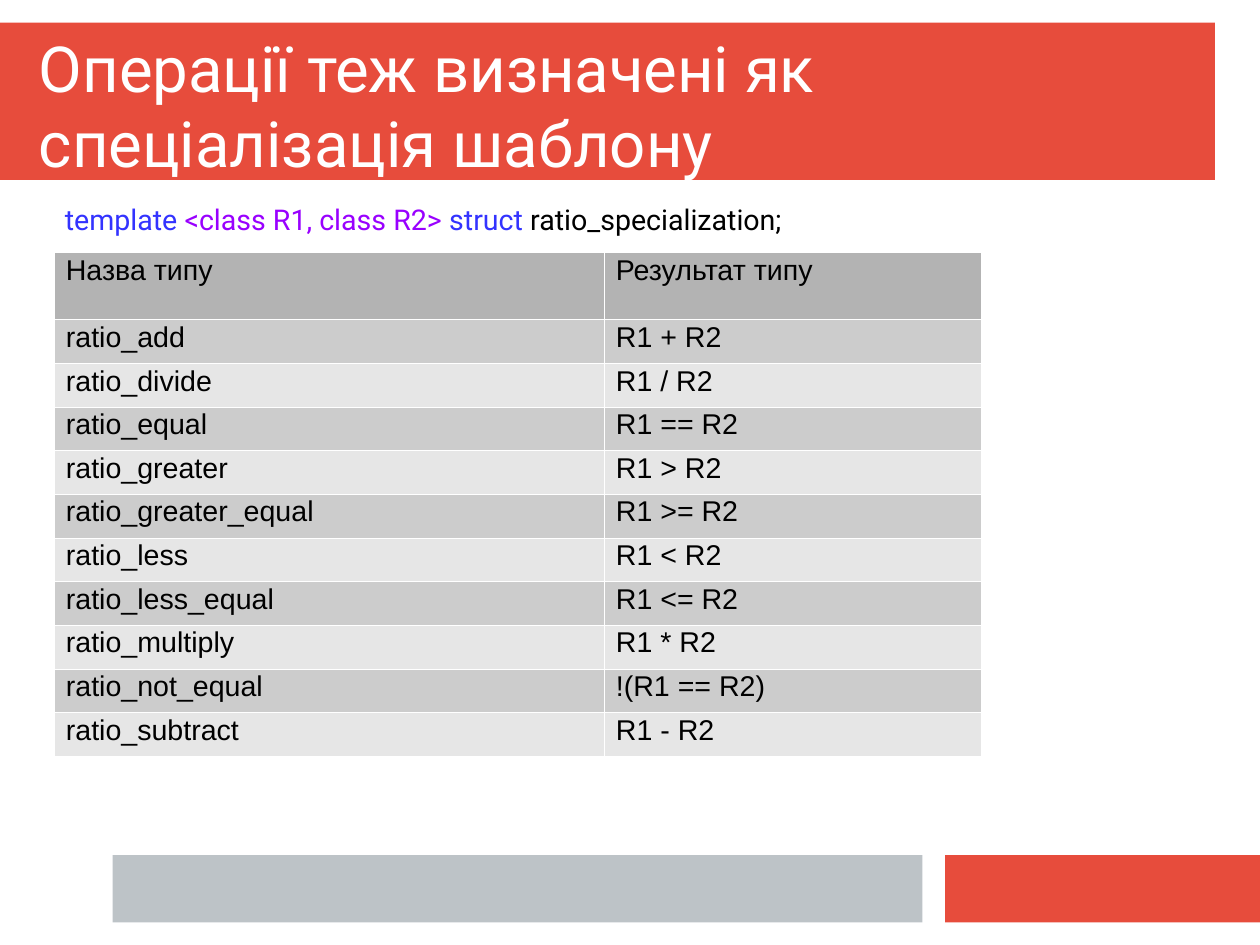
from lxml.etree import SubElement
from pptx import Presentation
from pptx.dml.color import RGBColor
from pptx.enum.shapes import MSO_SHAPE
from pptx.enum.text import MSO_ANCHOR, MSO_AUTO_SIZE, PP_ALIGN
from pptx.oxml.ns import qn
from pptx.util import Pt

RED, GREY, WHITE, BLACK = "E74C3C", "BDC3C7", "FFFFFF", "000000"
BLUE, PURPLE = "3333FF", "9900FF"
HEADER_FILL, ODD_FILL, EVEN_FILL = "B3B3B3", "CCCCCC", "E6E6E6"
COLUMN_WIDTHS = (346.5, 237.4)
HEADER_HEIGHT, ROW_HEIGHT = 42.3, 27.5

BARS = [
    (0, 14.2, 765.4, 99.2, RED),
    (595.3, 538.6, 198.4, 42.5, RED),
    (70.9, 538.6, 510.2, 42.5, GREY),
]
CODE = [
    ("template ", BLUE),
    ("<class R1, class R2> ", PURPLE),
    ("struct", BLUE),
    (" ratio_specialization;", BLACK),
]
ROWS = [
    ("Назва типу", "Результат типу"),
    ("ratio_add", "R1 + R2"),
    ("ratio_divide", "R1 / R2"),
    ("ratio_equal", "R1 == R2"),
    ("ratio_greater", "R1 > R2"),
    ("ratio_greater_equal", "R1 >= R2"),
    ("ratio_less", "R1 < R2"),
    ("ratio_less_equal", "R1 <= R2"),
    ("ratio_multiply", "R1 * R2"),
    ("ratio_not_equal", "!(R1 == R2)"),
    ("ratio_subtract", "R1 - R2"),
]


def rgb(value):
    """Turn a hex string into a colour."""
    return RGBColor.from_string(value)


def add_run(p, text, size, font, color):
    """Append one formatted run to a paragraph."""
    r = p.add_run()
    r.text = text
    r.font.size = Pt(size)
    r.font.name = font
    r.font.color.rgb = rgb(color)


def add_bar(slide, left, top, width, height, color):
    """Draw a plain coloured bar."""
    sp = slide.shapes.add_shape(
        MSO_SHAPE.RECTANGLE, Pt(left), Pt(top), Pt(width), Pt(height))
    sp.shadow.inherit = False
    sp.fill.solid()
    sp.fill.fore_color.rgb = rgb(color)
    sp.line.fill.background()


def set_title(slide, text):
    """Place the title in front of its banner."""
    sp = slide.shapes.title
    sp.left, sp.top, sp.width, sp.height = Pt(17.3), Pt(16.6), Pt(714.2), Pt(102.2)
    sp.element.getparent().append(sp.element)
    tf = sp.text_frame
    tf.word_wrap = True
    tf.auto_size = MSO_AUTO_SIZE.NONE
    tf.vertical_anchor = MSO_ANCHOR.MIDDLE
    p = tf.paragraphs[0]
    p.alignment = PP_ALIGN.LEFT
    p.line_spacing = 0.98
    add_run(p, text, 40, "Roboto", WHITE)


def add_code_line(slide, parts):
    """Add the declaration with one run per colour."""
    sp = slide.shapes.add_textbox(Pt(33.8), Pt(124.6), Pt(720), Pt(49.7))
    tf = sp.text_frame
    tf.word_wrap = True
    p = tf.paragraphs[0]
    p.line_spacing = 0.98
    p.space_after = Pt(10)
    for text, color in parts:
        add_run(p, text, 18, "Roboto", color)


def set_borders(cell, color, width):
    """Give a cell the same line on all four sides."""
    tc_pr = cell._tc.get_or_add_tcPr()
    for side in ("lnL", "lnR", "lnT", "lnB"):
        ln = SubElement(tc_pr, qn(f"a:{side}"), w=str(int(Pt(width))))
        fill = SubElement(ln, qn("a:solidFill"))
        SubElement(fill, qn("a:srgbClr"), val=color)


def fill_cell(cell, text, color):
    """Write and colour one table cell."""
    set_borders(cell, WHITE, 0.06)
    cell.fill.solid()
    cell.fill.fore_color.rgb = rgb(color)
    p = cell.text_frame.paragraphs[0]
    p.line_spacing = 0.87
    add_run(p, text, 18, "Arial", BLACK)


def add_operations_table(slide, rows):
    """Add the table of operations with alternating row fills."""
    height = HEADER_HEIGHT + ROW_HEIGHT * (len(rows) - 1)
    table = slide.shapes.add_table(
        len(rows), len(COLUMN_WIDTHS), Pt(34.3), Pt(158.9),
        Pt(sum(COLUMN_WIDTHS)), Pt(height)).table
    table.first_row = table.horz_banding = False
    for column, width in zip(table.columns, COLUMN_WIDTHS):
        column.width = Pt(width)
    for i, texts in enumerate(rows):
        table.rows[i].height = Pt(ROW_HEIGHT if i else HEADER_HEIGHT)
        color = (ODD_FILL if i % 2 else EVEN_FILL) if i else HEADER_FILL
        for j, text in enumerate(texts):
            fill_cell(table.cell(i, j), text, color)


def main():
    """Build and save the slide."""
    prs = Presentation()
    prs.slide_width, prs.slide_height = Pt(793.7), Pt(595.3)
    slide = prs.slides.add_slide(prs.slide_layouts[5])
    for bar in BARS:
        add_bar(slide, *bar)
    add_operations_table(slide, ROWS)
    add_code_line(slide, CODE)
    set_title(slide, "Операції теж визначені як спеціалізація шаблону")
    prs.save("out.pptx")


if __name__ == "__main__":
    main()
